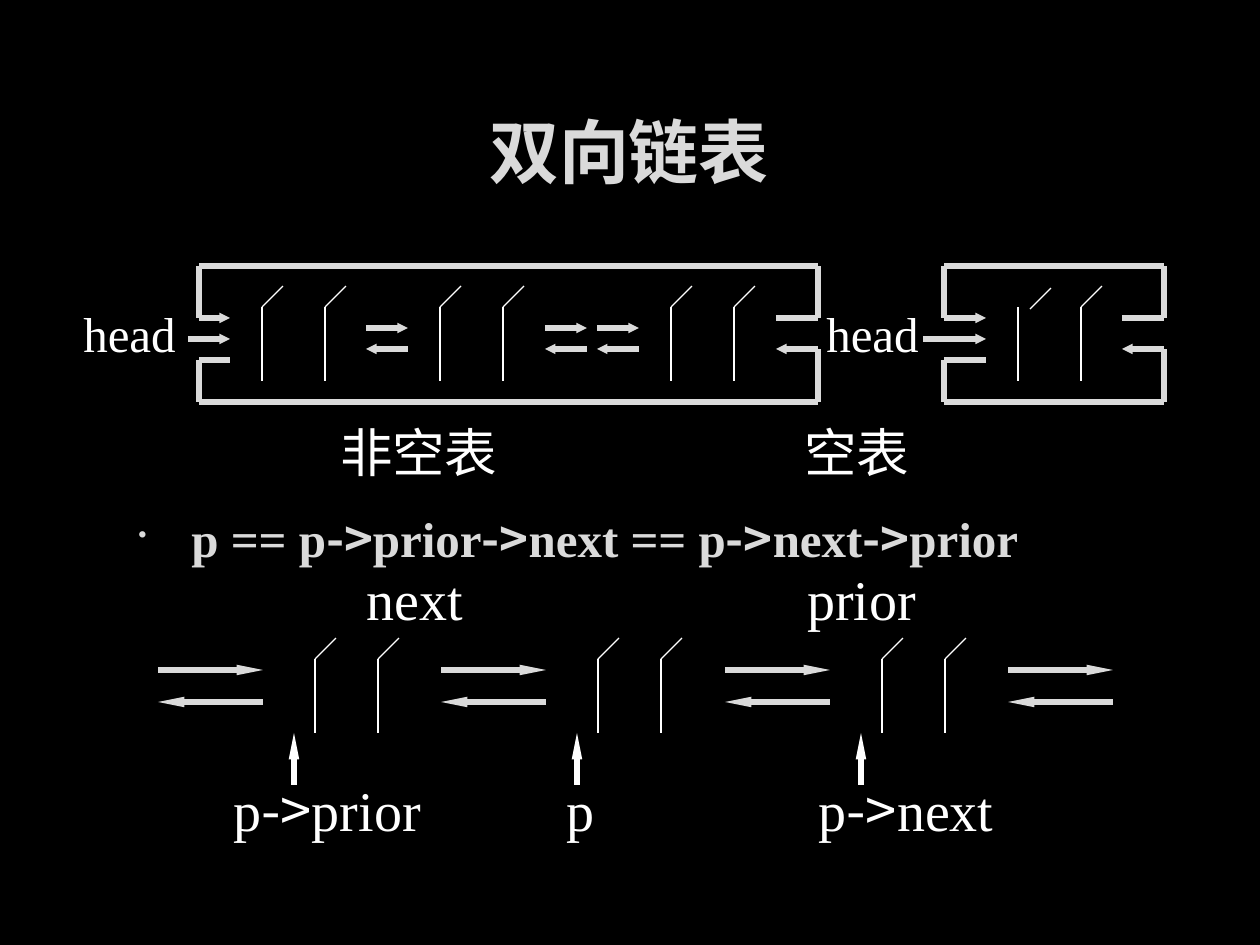
from dataclasses import dataclass

from lxml import etree
from pptx import Presentation
from pptx import util as u
from pptx.dml.color import RGBColor
from pptx.enum import shapes, text
from pptx.oxml.ns import qn

PX = 914400 / 126


@dataclass(frozen=True)
class Theme:
    back: str = "000000"
    plain: str = "FFFFFF"
    soft: str = "DADADA"
    edge: str = "404040"
    latin: str = "Times New Roman"
    han: str = "Noto Sans CJK SC"
    title: int = 40
    label: int = 32
    state: int = 30
    formula: int = 28
    thin: float = 0.75
    thick: float = 3


@dataclass(frozen=True)
class Node:
    x: int
    y: int
    slash_dx: int = 0
    slash_dy: int = 0


@dataclass(frozen=True)
class Ring:
    left: int
    right: int
    entry: int
    head: int


@dataclass(frozen=True)
class Label:
    words: str
    x: int
    y: int
    width: int
    height: int
    size: int


THEME = Theme()
STUB = 42
CELL = 63
CHAIN_X = [i * 567 // 2 for i in range(4)]

NODES = [Node(262, 307), Node(440, 307), Node(671, 307),
         Node(1018, 307, 12, 2)]
NODES += [Node(315 + dx, 659) for dx in CHAIN_X[:3]]
RINGS = [Ring(199, 818, 230, 188), Ring(944, 1164, 986, 923)]
LABELS = [
    Label("head", 71, 297, 127, 72, THEME.formula),
    Label("head", 814, 297, 127, 72, THEME.formula),
    Label("next", 354, 558, 129, 80, THEME.label),
    Label("prior", 795, 558, 151, 80, THEME.label),
    Label("p->prior", 221, 769, 239, 80, THEME.label),
    Label("p", 554, 769, 57, 80, THEME.label),
    Label("p->next", 806, 769, 286, 80, THEME.label),
]


def emu(px: int) -> int:
    return round(px * PX)


def draw_line(slide, start: tuple[int, int], end: tuple[int, int],
              color: str = THEME.soft, width: float = THEME.thick,
              head_length: str = "") -> None:
    line = slide.shapes.add_connector(
        shapes.MSO_CONNECTOR.STRAIGHT, *map(emu, start + end))
    line.line.color.rgb = RGBColor.from_string(color)
    line.line.width = u.Pt(width)
    if head_length:
        etree.SubElement(line.line._get_or_add_ln(), qn("a:tailEnd"),
                         type="triangle", w="sm", len=head_length)
    etree.SubElement(line._element.spPr, qn("a:effectLst"))


def draw_node(slide, node: Node) -> None:
    for x in (node.x, node.x + CELL):
        draw_line(slide, (x, node.y), (x, node.y + 74), THEME.plain, THEME.thin)
        dx, dy = (node.slash_dx, node.slash_dy) if x == node.x else (0, 0)
        draw_line(slide, (x + dx, node.y + dy), (x + dx + 21, node.y + dy - 21),
                  THEME.plain, THEME.thin)


def draw_links(slide, x: int, y: int, length: int, gap: int, head: str) -> None:
    draw_line(slide, (x, y), (x + length, y), head_length=head)
    draw_line(slide, (x + length, y + gap), (x, y + gap), head_length=head)


def draw_ring(slide, ring: Ring) -> None:
    top, upper, middle, back, lower, bottom = 266, 318, 339, 349, 360, 402
    left, right, exit_x = ring.left, ring.right, ring.right - STUB
    forward = [(exit_x, upper), (right, upper), (right, top), (left, top),
               (left, upper), (ring.entry, upper)]
    backward = [(ring.entry, lower), (left, lower), (left, bottom),
                (right, bottom), (right, back), (exit_x, back)]
    for route in (forward, backward):
        for start, end in zip(route, route[1:]):
            draw_line(slide, start, end,
                      head_length="sm" if end == route[-1] else "")
    draw_line(slide, (ring.head, middle), (ring.entry, middle), head_length="sm")


def add_run(paragraph, words: str, size: int, color: str, font: str,
            emphasis: bool = False) -> None:
    run = paragraph.add_run()
    run.text = words
    run.font.size = u.Pt(size)
    run.font.name = font
    run.font.bold = emphasis
    run.font.color.rgb = RGBColor.from_string(color)
    props = run.font._element
    if emphasis:
        outline = etree.Element(qn("a:ln"), w=str(u.Pt(THEME.thin)))
        fill = etree.SubElement(outline, qn("a:solidFill"))
        edge = etree.SubElement(fill, qn("a:srgbClr"), val=THEME.edge)
        etree.SubElement(edge, qn("a:alpha"), val="10000")
        props.insert(0, outline)
    east_asian = etree.Element(qn("a:ea"), typeface=font)
    props.find(qn("a:latin")).addnext(east_asian)


def add_code(paragraph, code: str, size: int, color: str,
             emphasis: bool = False) -> None:
    for i, name in enumerate(code.split("->")):
        if i:
            add_run(paragraph, "->", size, color, THEME.han, emphasis)
        add_run(paragraph, name, size, color, THEME.latin, emphasis)


def add_box(slide, x: int, y: int, width: int, height: int, wrap: bool = True):
    frame = slide.shapes.add_textbox(*map(emu, (x, y, width, height))).text_frame
    frame.word_wrap = wrap
    return frame


def add_title(slide) -> None:
    title = slide.shapes.title
    title.left, title.top, title.width, title.height = map(emu, (94, 84, 1070, 134))
    title.text_frame.vertical_anchor = text.MSO_ANCHOR.MIDDLE
    heading = title.text_frame.paragraphs[0]
    heading.alignment = text.PP_ALIGN.CENTER
    add_run(heading, "双向链表", THEME.title, THEME.soft, THEME.han, True)


def add_states(slide) -> None:
    frame = add_box(slide, 325, 412, 800, 79)
    frame.margin_left = frame.margin_right = emu(15)
    frame.margin_top = frame.margin_bottom = emu(8)
    states = frame.paragraphs[0]
    tabs = etree.SubElement(states._p.get_or_add_pPr(), qn("a:tabLst"))
    etree.SubElement(tabs, qn("a:tab"), pos=str(emu(464)), algn="l")
    add_run(states, "非空表\t空表", THEME.state, THEME.plain, THEME.han)


def add_formula(slide) -> None:
    formula = add_box(slide, 121, 496, 992, 168).paragraphs[0]
    props = formula._p.get_or_add_pPr()
    props.set("marL", str(emu(58)))
    props.set("indent", str(emu(-53)))
    etree.SubElement(props, qn("a:buSzPct"), val="50000")
    etree.SubElement(props, qn("a:buChar"), char="•")
    formula.line_spacing = 1.1
    add_code(formula, "p == p->prior->next == p->next->prior",
             THEME.formula, THEME.soft, True)


def main() -> None:
    deck = Presentation()
    deck.slide_width, deck.slide_height = u.Inches(10), u.Inches(7.5)
    slide = deck.slides.add_slide(deck.slide_layouts[5])
    slide.background.fill.solid()
    slide.background.fill.fore_color.rgb = RGBColor.from_string(THEME.back)

    add_title(slide)
    add_states(slide)
    for node in NODES:
        draw_node(slide, node)
    for ring in RINGS:
        draw_ring(slide, ring)
    for x in (366, 545, 597):
        draw_links(slide, x, 328, STUB, 21, "sm")
    for dx in CHAIN_X:
        draw_links(slide, 158 + dx, 670, 105, 32, "lg")
    for dx in CHAIN_X[:3]:
        draw_line(slide, (294 + dx, 785), (294 + dx, 733), THEME.plain,
                  head_length="lg")
    add_formula(slide)
    for label in LABELS:
        frame = add_box(slide, label.x, label.y, label.width, label.height, False)
        add_code(frame.paragraphs[0], label.words, label.size, THEME.plain)
    deck.save("out.pptx")


if __name__ == "__main__":
    main()
